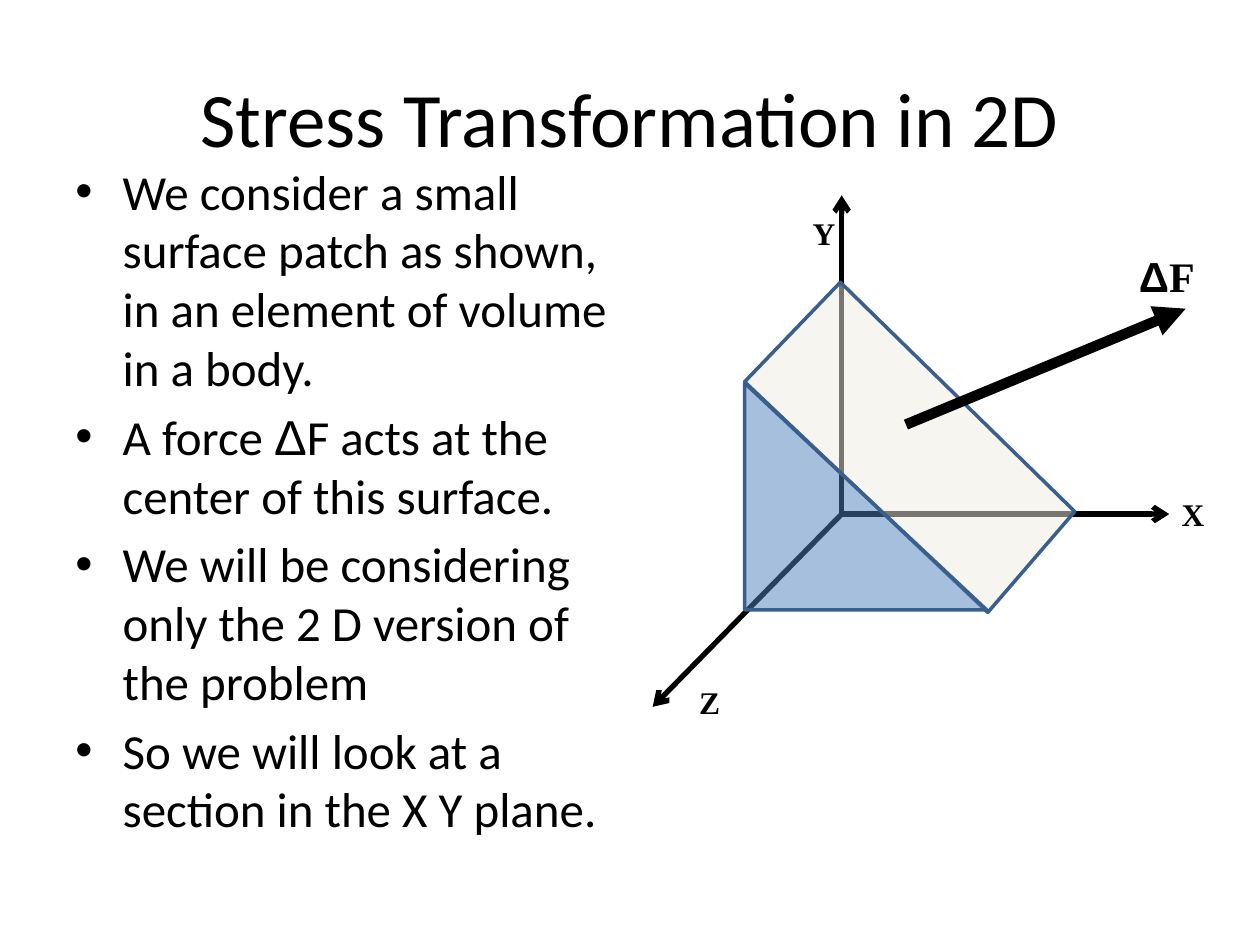
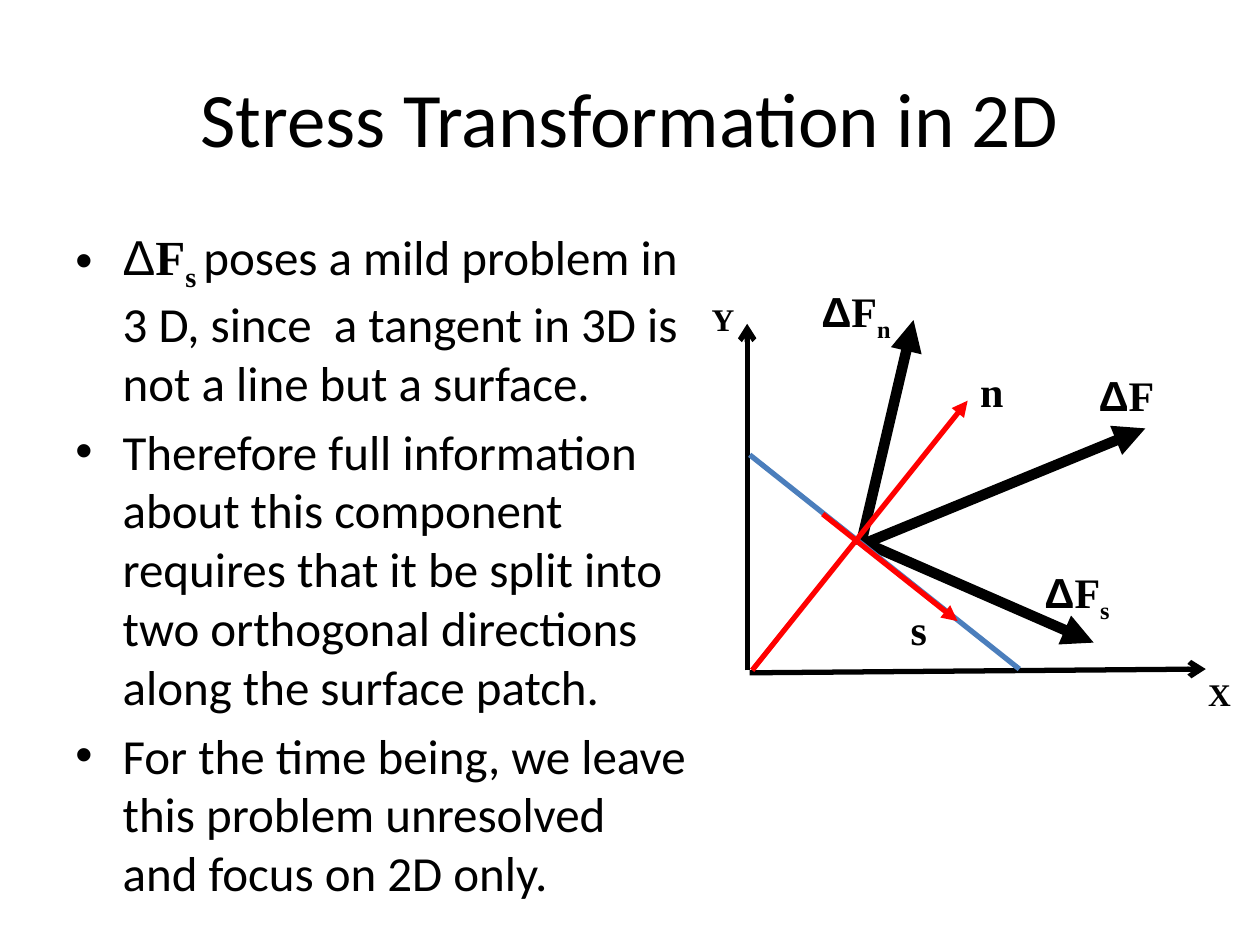
"""Build two slides on stress transformation in 2D."""
from dataclasses import dataclass
from typing import Optional

import lxml.etree
import pptx
import pptx.dml.color
import pptx.enum.shapes
import pptx.enum.text
import pptx.oxml
import pptx.oxml.ns
import pptx.util

WIDTH, HEIGHT = pptx.util.Inches(10), pptx.util.Inches(7.5)
COLUMNS, ROWS = 100, 75
COLORS = {
    "ink": "000000",
    "paper": "FFFFFF",
    "patch": "EEECE1",
    "wedge": "4F81BD",
    "edge": "3A5F8C",
    "section": "4B7EBC",
    "direction": "FF0000",
}
SANS, SYMBOL, SERIF = "Calibri", "Arial", "Times New Roman"
TITLE = "Stress Transformation in 2D"
TITLE_SIZE, BODY_SIZE, VECTOR_SIZE, AXIS_SIZE = 44, 28, 24, 18
AXIS_WIDTH, FORCE_WIDTH, EDGE_WIDTH = 3, 6, 2
INDENT = 3.75

Point = tuple[float, float]


@dataclass(frozen=True)
class Box:
    """A rectangle in grid columns and rows."""
    left: float
    top: float
    width: float
    height: float

    def lengths(self) -> tuple[int, int, int, int]:
        """Return left, top, width and height as slide lengths."""
        return column(self.left), row(self.top), column(self.width), row(self.height)


@dataclass(frozen=True)
class Run:
    """A stretch of text in one format."""
    text: str
    font: str = SANS
    bold: bool = False
    subscript: bool = False


@dataclass(frozen=True)
class Label:
    """A short text beside an axis or a vector."""
    box: Box
    runs: tuple[Run, ...]
    size: int = VECTOR_SIZE
    fill: Optional[str] = None


@dataclass(frozen=True)
class Line:
    """A straight line with an optional arrowhead at its end."""
    start: Point
    end: Point
    color: str = "ink"
    width: float = AXIS_WIDTH
    head: Optional[str] = "arrow"


def column(count: float) -> int:
    """Convert grid columns to a length."""
    return round(WIDTH * count / COLUMNS)


def row(count: float) -> int:
    """Convert grid rows to a length."""
    return round(HEIGHT * count / ROWS)


def rgb(name: str) -> pptx.dml.color.RGBColor:
    """Look up a named colour."""
    return pptx.dml.color.RGBColor.from_string(COLORS[name])


def add_child(parent, tag: str, **attributes: str):
    """Append a DrawingML element with attributes."""
    child = lxml.etree.SubElement(parent, pptx.oxml.ns.qn(tag))
    for name, value in attributes.items():
        child.set(name, value)
    return child


def add_text(paragraph, text: str, *, size: int, font: str = SANS,
             bold: bool = False, subscript: bool = False) -> None:
    """Append formatted text to a paragraph."""
    run = paragraph.add_run()
    run.text = text
    run.font.name, run.font.size, run.font.bold = font, pptx.util.Pt(size), bold
    run.font.color.rgb = rgb("ink")
    if subscript:
        run.font._element.set("baseline", "-25000")


def add_runs(paragraph, runs: tuple[Run, ...], size: int) -> None:
    """Append several runs of one size to a paragraph."""
    for run in runs:
        add_text(paragraph, run.text, size=size, font=run.font,
                 bold=run.bold, subscript=run.subscript)


def add_titled_slide(presentation):
    """Add a title-only slide with the shared title."""
    slide = presentation.slides.add_slide(presentation.slide_layouts[5])
    title = slide.shapes.title
    title.left, title.top, title.width, title.height = Box(5, 3, 90, 12.5).lengths()
    title.text_frame.vertical_anchor = pptx.enum.text.MSO_ANCHOR.MIDDLE
    paragraph = title.text_frame.paragraphs[0]
    paragraph.alignment = pptx.enum.text.PP_ALIGN.CENTER
    add_text(paragraph, TITLE, size=TITLE_SIZE)
    return slide


def add_bullets(slide, box: Box, items: list[tuple[Run, ...]]) -> None:
    """Add a bulleted list."""
    frame = slide.shapes.add_textbox(*box.lengths()).text_frame
    frame.word_wrap = True
    for index, runs in enumerate(items):
        paragraph = frame.add_paragraph() if index else frame.paragraphs[0]
        properties = paragraph._p.get_or_add_pPr()
        properties.set("marL", str(column(INDENT)))
        properties.set("indent", str(-column(INDENT)))
        add_child(add_child(properties, "a:spcBef"), "a:spcPct", val="20000")
        add_child(properties, "a:buFont", typeface=SYMBOL)
        add_child(properties, "a:buChar", char="•")
        add_runs(paragraph, runs, BODY_SIZE)


def add_label(slide, label: Label) -> None:
    """Add a label, filled if it has a fill colour."""
    shape = slide.shapes.add_textbox(*label.box.lengths())
    if label.fill:
        shape.fill.solid()
        shape.fill.fore_color.rgb = rgb(label.fill)
    shape.text_frame.word_wrap = True
    add_runs(shape.text_frame.paragraphs[0], label.runs, label.size)


def add_line(slide, line: Line) -> None:
    """Add a connector without shadow."""
    connector = slide.shapes.add_connector(
        pptx.enum.shapes.MSO_CONNECTOR.STRAIGHT,
        column(line.start[0]), row(line.start[1]), column(line.end[0]), row(line.end[1]))
    connector.line.color.rgb = rgb(line.color)
    connector.line.width = pptx.util.Pt(line.width)
    if line.head:
        add_child(connector.line._get_or_add_ln(), "a:tailEnd", type=line.head)
    add_child(connector._element.spPr, "a:effectLst")


def add_all(slide, items: list) -> None:
    """Draw lines and labels from back to front."""
    for item in items:
        (add_line if isinstance(item, Line) else add_label)(slide, item)


def format_face(shape, fill: str) -> None:
    """Give a face a half-transparent fill and an edge."""
    shape.shadow.inherit = False
    shape.fill.solid()
    shape.fill.fore_color.rgb = rgb(fill)
    solid = shape._element.spPr.find(pptx.oxml.ns.qn("a:solidFill"))
    add_child(solid[0], "a:alpha", val="50000")
    shape.line.color.rgb = rgb("edge")
    shape.line.width = pptx.util.Pt(EDGE_WIDTH)


def axis_label(name: str, left: float, top: float, fill: Optional[str] = None) -> Label:
    """Describe the name of an axis."""
    return Label(Box(left, top, 3.9, 4), (Run(name, SERIF, True),), AXIS_SIZE, fill)


def direction_label(name: str, left: float, top: float) -> Label:
    """Describe the name of a unit direction."""
    return Label(Box(left, top, 4, 5), (Run(name, SERIF, True),))


def force_label(left: float, top: float, component: str = "") -> Label:
    """Describe the name of a force or of its component."""
    runs = (Run("Δ", SYMBOL, True), Run("F", SERIF, True))
    if component:
        runs += (Run(component, SERIF, True, True),)
    return Label(Box(left, top, 8.6 if component else 7.1, 5), runs)


def force(start: Point, end: Point) -> Line:
    """Describe a thick force arrow."""
    return Line(start, end, width=FORCE_WIDTH, head="triangle")


def direction(start: Point, end: Point) -> Line:
    """Describe a red direction arrow."""
    return Line(start, end, "direction", head="triangle")


def build_volume_slide(presentation) -> None:
    """Build the slide with the surface patch in space."""
    slide = add_titled_slide(presentation)
    add_bullets(slide, Box(5, 12.3, 46.8, 55.4), [
        (Run("We consider a small surface patch as shown, in an element of volume in a body."),),
        (Run("A force "), Run("Δ", SYMBOL), Run("F acts at the center of this surface.")),
        (Run("We will be considering only the 2 D version of the problem"),),
        (Run("So we will look at a section in the X Y plane."),),
    ])
    origin = (66.8, 40.8)
    add_all(slide, [Line(origin, end) for end in ((66.8, 15.5), (92.8, 40.8), (51.8, 56.1))])
    add_all(slide, [
        axis_label("X", 92.8, 38.8, "paper"),
        axis_label("Y", 63.5, 16.5),
        axis_label("Z", 54.5, 53.7, "paper"),
    ])
    corners = [(column(x), row(y)) for x, y in
               ((66.7, 22.4), (85.3, 40.6), (78.4, 48.6), (59.1, 30.3))]
    outline = slide.shapes.build_freeform(*corners[0], scale=1.0)
    outline.add_line_segments(corners[1:], close=True)
    format_face(outline.convert_to_shape(), "patch")
    add_all(slide, [force((71.9, 33.7), (94.1, 24.5)), force_label(89.4, 19.4)])
    wedge = slide.shapes.add_shape(pptx.enum.shapes.MSO_SHAPE.RIGHT_TRIANGLE,
                                   *Box(59.1, 30.4, 19.2, 18).lengths())
    format_face(wedge, "wedge")


def build_section_slide(presentation) -> None:
    """Build the slide with the section in the X Y plane."""
    slide = add_titled_slide(presentation)
    add_bullets(slide, Box(5, 17.5, 50.5, 54.6), [
        (Run("Δ", SYMBOL), Run("F", SERIF, True), Run("s ", SERIF, True, True),
         Run("poses a mild problem in 3 D, since  a tangent in 3D is not a line but a surface.")),
        (Run("Therefore full information about this component requires that it be "
             "split into two orthogonal directions along the surface patch."),),
        (Run("For the time being, we leave this problem unresolved and focus on 2D only."),),
    ])
    center = (68.7, 43.1)
    add_all(slide, [
        force((68.3, 43.3), (72.5, 25.4)),
        force(center, (86.8, 51)),
        force(center, (90.9, 34)),
        Line((59.3, 53.2), (59.3, 25.7)),
        Line((59.5, 53.4), (95.7, 53.1)),
        axis_label("X", 94.9, 53.1),
        axis_label("Y", 55.5, 23.3),
        force_label(86.2, 28.8),
        force_label(64.2, 22.2, "n"),
        force_label(81.9, 44.5, "s"),
        Line((59.5, 36.1), (80.9, 53.1), "section", head=None),
        direction((59.7, 53.2), (76.8, 31.8)),
        direction_label("n", 76.8, 28.5),
        direction((65.3, 40.8), (76, 49.3)),
        direction_label("s", 71.3, 47.4),
    ])


def main() -> None:
    """Build and save the presentation."""
    presentation = pptx.Presentation()
    presentation.slide_width, presentation.slide_height = WIDTH, HEIGHT
    build_volume_slide(presentation)
    build_section_slide(presentation)
    presentation.save("out.pptx")


if __name__ == "__main__":
    main()
